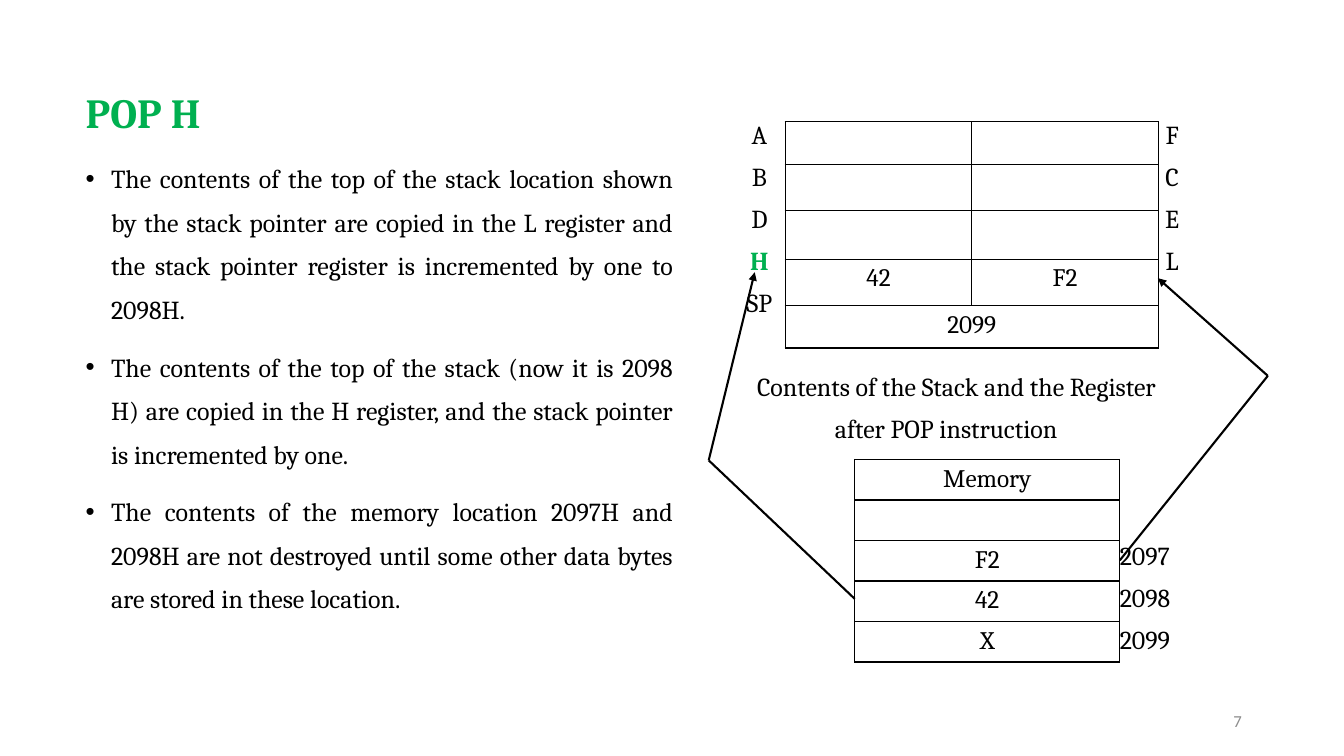
from lxml import etree
from pptx import Presentation
from pptx import util as u
from pptx.dml import color
from pptx.enum import shapes, text
from pptx.oxml import ns

BLACK, GREEN, WHITE, GREY = "000000", "00B050", "FFFFFF", "8C8C8C"
LEFT, CENTER = text.PP_ALIGN.LEFT, text.PP_ALIGN.CENTER
RIGHT, JUSTIFY = text.PP_ALIGN.RIGHT, text.PP_ALIGN.JUSTIFY

TITLE = "POP H"
POINTS = [
    "The contents of the top of the stack location shown by the stack pointer are copied "
    "in the L register and the stack pointer register is incremented by one to 2098H.",
    "The contents of the top of the stack (now it is 2098 H) are copied in the H register, "
    "and the stack pointer is incremented by one.",
    "The contents of the memory location 2097H and 2098H are not destroyed until some "
    "other data bytes are stored in these location.",
]
CAPTION = ["Contents of the Stack and the Register", "after POP instruction"]
LABELS = [
    ((18.54, 3.07, 1.2, 5.2), ["A", "B", "D", "H", "SP"], CENTER),
    ((28.94, 3.07, 1.2, 4.2), ["F", "C", "E", "L"], CENTER),
    ((28.22, 13.67, 1.6, 3.1), ["2097", "2098", "2099"], LEFT),
]
REGISTERS = [["", ""], ["", ""], ["", ""], ["42", "F2"], ["2099", ""]]
REGISTER_ROWS = [1.07, 1.17, 1.22, 1.17, 1.07]
MEMORY = [["Memory"], [""], ["F2"], ["42"], ["X"]]
MEMORY_ROWS = [1.02] * len(MEMORY)
LINES = [
    ((31.95, 9.47), (29.18, 7.01), True),
    ((31.95, 9.47), (28.22, 14.12), False),
    ((21.54, 15.09), (17.86, 11.6), False),
    ((17.86, 11.6), (19.02, 6.86), True),
]

BODY_FONT = {"name": "Cambria", "size": u.Pt(18.5), "bold": False}
TITLE_FONT = {"name": "Cambria", "size": u.Pt(29.6), "bold": True}
CELL_FONT = {"name": "Cambria", "size": u.Pt(18)}
NUMBER_FONT = {"name": "Calibri", "size": u.Pt(12)}


def rgb(value):
    return color.RGBColor.from_string(value)


def apply(target, values):
    for name, value in values.items():
        setattr(target, name, value)


def write(paragraph, words, font, colour=BLACK, **layout):
    run = paragraph.add_run()
    run.text = words
    apply(run.font, font)
    run.font.color.rgb = rgb(colour)
    apply(paragraph, layout)


def add_box(slide, place, inset=0, anchor=text.MSO_ANCHOR.TOP):
    frame = slide.shapes.add_textbox(*map(u.Cm, place)).text_frame
    apply(frame, {
        "word_wrap": True, "vertical_anchor": anchor,
        "margin_left": u.Cm(inset), "margin_right": u.Cm(inset),
        "margin_top": 0, "margin_bottom": 0,
    })
    return frame


def next_paragraph(frame, index):
    return frame.add_paragraph() if index else frame.paragraphs[0]


def indent(paragraph, left, first=0):
    properties = paragraph._p.get_or_add_pPr()
    properties.set("marL", str(u.Cm(left)))
    properties.set("indent", str(u.Cm(first)))
    return properties


def add_bullet(paragraph):
    properties = indent(paragraph, 0.64, -0.64)
    etree.SubElement(properties, ns.qn("a:buFont"), typeface="Arial")
    etree.SubElement(properties, ns.qn("a:buChar"), char="•")


def add_border(cell):
    properties = cell._tc.get_or_add_tcPr()
    for side in ("lnL", "lnR", "lnT", "lnB"):
        line = etree.SubElement(properties, ns.qn("a:" + side), w=str(u.Pt(1)))
        fill = etree.SubElement(line, ns.qn("a:solidFill"))
        etree.SubElement(fill, ns.qn("a:srgbClr"), val=BLACK)


def add_grid(slide, left, top, column_width, heights, rows):
    columns = len(rows[0])
    place = (left, top, column_width * columns, sum(heights))
    table = slide.shapes.add_table(len(rows), columns, *map(u.Cm, place)).table
    apply(table, {"first_row": False, "horz_banding": False})
    for column in table.columns:
        column.width = u.Cm(column_width)
    for row, height, values in zip(table.rows, heights, rows):
        row.height = u.Cm(height)
        for cell, value in zip(row.cells, values):
            add_border(cell)
            cell.fill.solid()
            cell.fill.fore_color.rgb = rgb(WHITE)
            cell.margin_bottom = 0
            if value:
                write(cell.text_frame.paragraphs[0], value, CELL_FONT, alignment=CENTER)
    return table


def add_line(slide, start, end, arrow):
    line = slide.shapes.add_connector(
        shapes.MSO_CONNECTOR.STRAIGHT, *map(u.Cm, start + end))
    line.line.color.rgb = rgb(BLACK)
    line.line.width = u.Pt(1.5)
    if arrow:
        etree.SubElement(line.line._get_or_add_ln(), ns.qn("a:tailEnd"), type="triangle")
    etree.SubElement(line._element.spPr, ns.qn("a:effectLst"))


def main():
    presentation = Presentation()
    apply(presentation, {"slide_width": u.Cm(33.87), "slide_height": u.Cm(19.05)})
    slide = presentation.slides.add_slide(presentation.slide_layouts[6])
    gap = {"space_after": u.Pt(10)}
    tight = {"line_spacing": u.Pt(20), **gap}

    body = add_box(slide, (1.91, 2.03, 15.29, 13.9), 0.25)
    write(body.paragraphs[0], TITLE, TITLE_FONT, GREEN, line_spacing=u.Pt(40), **gap)
    for point in POINTS:
        paragraph = body.add_paragraph()
        write(paragraph, point, BODY_FONT, alignment=JUSTIFY,
              line_spacing=u.Pt(31.1), **gap)
        add_bullet(paragraph)

    for place, labels, alignment in LABELS:
        frame = add_box(slide, place)
        for index, label in enumerate(labels):
            marked = label == "H"
            write(next_paragraph(frame, index), label, {**BODY_FONT, "bold": marked},
                  GREEN if marked else BLACK, alignment=alignment, **tight)

    caption = add_box(slide, (19.08, 9.42, 11, 2.1))
    for index, words in enumerate(CAPTION):
        paragraph = next_paragraph(caption, index)
        write(paragraph, words, BODY_FONT, **tight)
        indent(paragraph, 1.96 * index)

    registers = add_grid(slide, 19.79, 3.07, 4.7, REGISTER_ROWS, REGISTERS)
    registers.cell(4, 0).merge(registers.cell(4, 1))
    add_grid(slide, 21.54, 11.58, 6.68, MEMORY_ROWS, MEMORY)
    for start, end, arrow in LINES:
        add_line(slide, start, end, arrow)

    number = add_box(slide, (23.93, 17.65, 7.62, 1.02), 0.25, text.MSO_ANCHOR.MIDDLE)
    write(number.paragraphs[0], "7", NUMBER_FONT, GREY, alignment=RIGHT)
    presentation.save("out.pptx")


if __name__ == "__main__":
    main()
